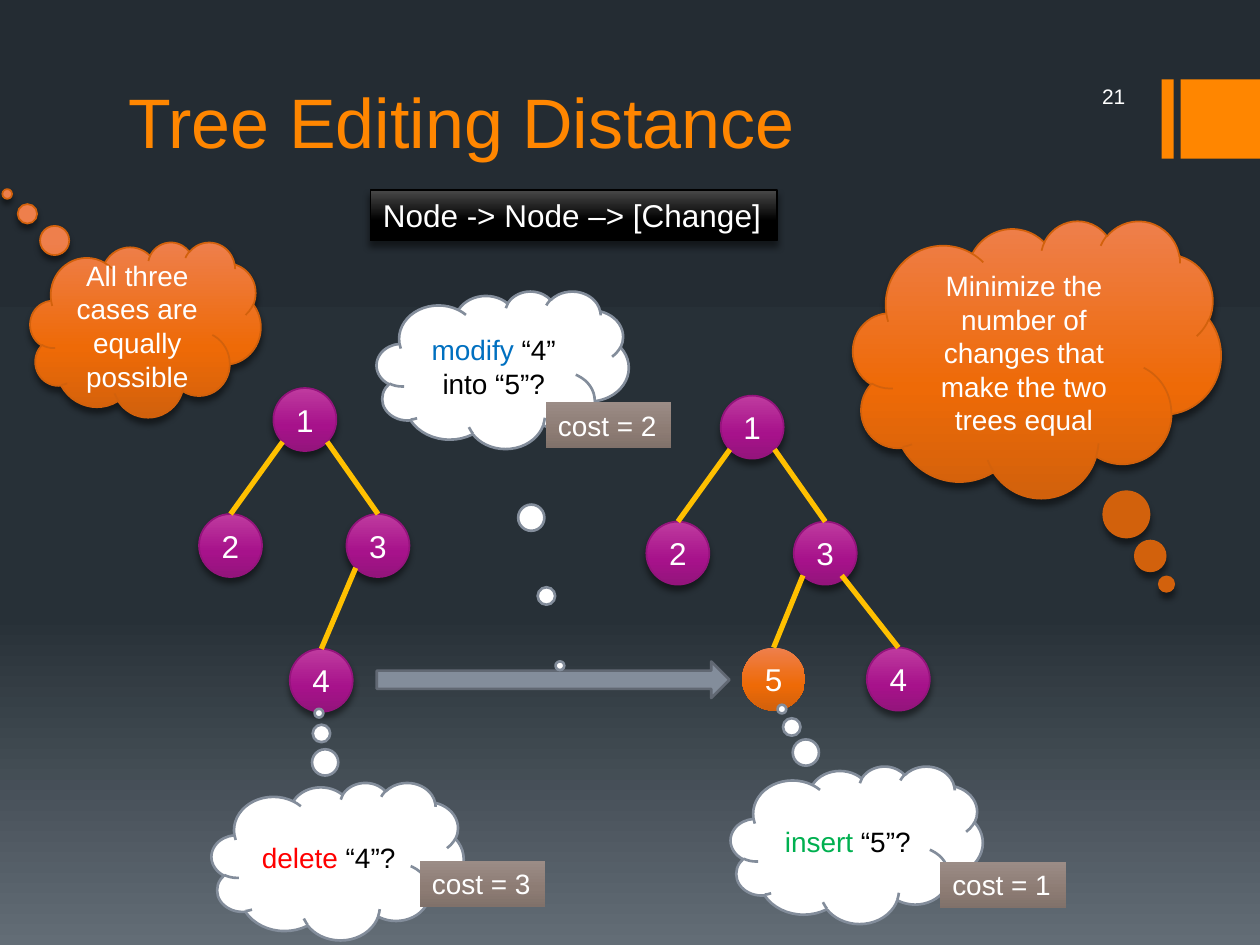
"""Builds the tree editing distance slide."""
from copy import deepcopy

from lxml import etree
from pptx import Presentation
from pptx import util as u
from pptx.dml.color import RGBColor
from pptx.enum import shapes, text
from pptx.oxml.ns import qn

WHITE = RGBColor(0xFF, 0xFF, 0xFF)
BLACK = RGBColor(0, 0, 0)
ORANGE = RGBColor(0xFF, 0x86, 0x00)
GOLD = RGBColor(0xFF, 0xC0, 0x00)
GREY = RGBColor(0x83, 0x8D, 0x9B)
STONE = RGBColor(0x61, 0x68, 0x73)
RED = RGBColor(0xFF, 0, 0)
GREEN = RGBColor(0, 0xB0, 0x50)
BLUE = RGBColor(0, 0x70, 0xC0)
NIGHT = (RGBColor(0x24, 0x2C, 0x33), RGBColor(0x27, 0x30, 0x37), RGBColor(0x63, 0x6D, 0x76))
PLUM = (RGBColor(0xBF, 0x3B, 0x9F), RGBColor(0xA7, 0x12, 0x8B), RGBColor(0x94, 0x14, 0x7C))
FLAME = (RGBColor(0xEE, 0x7F, 0x4C), RGBColor(0xEE, 0x6A, 0x07), RGBColor(0xD2, 0x61, 0x0C))
COAL = (RGBColor(0x48, 0x48, 0x48), BLACK, BLACK)
TAUPE = (RGBColor(0x9B, 0x8C, 0x86), RGBColor(0x8D, 0x7C, 0x74), RGBColor(0x80, 0x71, 0x6A))

KIND = shapes.MSO_SHAPE
ALIGN = text.PP_ALIGN
ANCHOR = text.MSO_ANCHOR
COLS, ROWS = 100, 75
NODE = 5
REACH = 1.77


class Deck:
    """Holds the style and the slide, measured on a grid of 100 columns and 75 rows."""

    def __init__(self, font):
        self.font = font
        self.prs = Presentation()
        self.prs.slide_width, self.prs.slide_height = u.Inches(10), u.Inches(7.5)
        self.slide = self.prs.slides.add_slide(self.prs.slide_layouts[5])
        self.blend(self.slide.background.fill, self.slide.element, NIGHT, 0.65)

    def grid(self, x, y):
        """Turns columns and rows into lengths."""
        return round(x * self.prs.slide_width / COLS), round(y * self.prs.slide_height / ROWS)

    def blend(self, fill, root, tones, mid=0.6):
        """Fills from top to bottom through three tones."""
        fill.gradient()
        fill.gradient_angle = 270
        stops = root.find(".//" + qn("a:gsLst"))
        stops.append(deepcopy(stops[-1]))
        for stop, tone, place in zip(fill.gradient_stops, tones, (0, mid, 1)):
            stop.color.rgb = tone
            stop.position = place

    def shade(self, shape):
        """Drops a soft shadow below a shape."""
        effect = shape.element.spPr.find(qn("a:effectLst"))
        drop = etree.SubElement(effect, qn("a:outerShdw"), blurRad=str(u.Pt(3.8)),
                                dist=str(u.Pt(3)), dir="5400000", rotWithShape="0")
        tone = etree.SubElement(drop, qn("a:srgbClr"), val=str(BLACK))
        etree.SubElement(tone, qn("a:alpha"), val="48000")

    def words(self, shape, parts, size, align=ALIGN.CENTER, anchor=ANCHOR.MIDDLE, wrap=True):
        """Sets one paragraph from pairs of words and colour."""
        frame = shape.text_frame
        frame.word_wrap = wrap
        frame.vertical_anchor = anchor
        para = frame.paragraphs[0]
        para.alignment = align
        para.text = parts[0][0]
        for part, _ in parts[1:]:
            para.add_run().text = part
        for run, (_, tone) in zip(para.runs, parts):
            run.font.name, run.font.size = self.font, u.Pt(size)
            run.font.color.rgb = tone

    def shape(self, kind, x, y, w, h, fill, line=None, width=1, shadow=False):
        """Adds a preset shape with a plain or blended fill."""
        item = self.slide.shapes.add_shape(kind, *self.grid(x, y), *self.grid(w, h))
        item.shadow.inherit = False
        if isinstance(fill, RGBColor):
            item.fill.solid()
            item.fill.fore_color.rgb = fill
        else:
            self.blend(item.fill, item.element, fill)
        if line is None:
            item.line.fill.background()
        else:
            item.line.color.rgb = line
            item.line.width = u.Pt(width)
        if shadow:
            self.shade(item)
        return item

    def title(self, name, x, y, w, h):
        """Places the title."""
        item = self.slide.shapes.title
        item.left, item.top = self.grid(x, y)
        item.width, item.height = self.grid(w, h)
        item.text_frame.auto_size = text.MSO_AUTO_SIZE.NONE
        self.words(item, [(name, ORANGE)], 40, ALIGN.LEFT, ANCHOR.BOTTOM)

    def page(self, number, x, y, w, h):
        """Adds the page number."""
        item = self.slide.shapes.add_textbox(*self.grid(x, y), *self.grid(w, h))
        self.words(item, [(number, WHITE)], 12, ALIGN.RIGHT)

    def node(self, label, x, y, fresh=False):
        """Adds a tree node, orange when it is freshly inserted."""
        look = (FLAME,) if fresh else (PLUM, PLUM[-1], 1, True)
        item = self.shape(KIND.OVAL, x, y, NODE, NODE, *look)
        self.words(item, [(label, WHITE)], 18)
        return item

    def edge(self, top, low, reach):
        """Joins the lower rim of one node to the top of another."""
        x, y = self.grid(reach, REACH)
        line = self.slide.shapes.add_connector(
            shapes.MSO_CONNECTOR.STRAIGHT, top.left + top.width // 2 + x,
            top.top + top.height // 2 + y, low.left + low.width // 2, low.top)
        line.end_connect(low, 0)
        line.line.color.rgb = GOLD
        line.line.width = u.Pt(3)
        etree.SubElement(line.element.spPr, qn("a:effectLst"))

    def tree(self, nodes, edges):
        """Adds nodes by label, then the edges between them."""
        items = {label: self.node(label, *place) for label, *place in nodes}
        for top, low, reach in edges:
            self.edge(items[top], items[low], reach)

    def cloud(self, parts, x, y, w, h, tail, hot=False):
        """Adds a thought cloud with its tail."""
        look = (FLAME, FLAME[-1], 1, True) if hot else (WHITE, GREY, 1.5)
        item = self.shape(KIND.CLOUD_CALLOUT, x, y, w, h, *look)
        item.adjustments[0], item.adjustments[1] = tail
        self.words(item, parts, 16)

    def label(self, name, x, y, w, h, size, *look):
        """Adds a box that fits one line of words."""
        item = self.shape(KIND.RECTANGLE, x, y, w, h, *look)
        self.words(item, [(name, WHITE)], size, ALIGN.LEFT, ANCHOR.TOP, False)
        item.text_frame.auto_size = text.MSO_AUTO_SIZE.SHAPE_TO_FIT_TEXT


def main():
    """Draws the slide and saves it."""
    deck = Deck("Arial")
    for x, w in ((92.2, 0.95), (93.7, 6.3)):
        deck.shape(KIND.RECTANGLE, x, 6.3, w, 6.3, ORANGE)
    deck.title("Tree Editing Distance", 9.2, 0.8, 80, 12.6)

    deck.tree([("1", 21.7, 30.8), ("2", 15.8, 40.8), ("3", 27.5, 40.8), ("4", 23, 51.5)],
              [("1", "2", -REACH), ("1", "3", REACH), ("3", "4", -REACH)])
    deck.tree([("1", 57.2, 31.4), ("2", 51.3, 41.4), ("3", 63, 41.4),
               ("4", 68.8, 51.4), ("5", 58.9, 51.4, True)],
              [("1", "2", -REACH), ("1", "3", REACH), ("3", "4", 1.3), ("3", "5", -REACH)])

    asks = (("delete", RED, " “4”?", 16.8, 62.1, (-0.074, -0.94)),
            ("insert", GREEN, " “5”?", 58, 60.8, (-0.297, -0.862)),
            ("modify", BLUE, " “4” into “5”?", 29.9, 23.1, (0.227, 1.879)))
    deck.shape(KIND.RIGHT_ARROW, 29.9, 52.5, 28, 2.9, GREY, STONE, 1.5)
    for verb, tone, rest, x, y, tail in asks:
        deck.cloud([(verb, tone), (rest, BLACK)], x, y, 20, 12.5, tail)
    deck.cloud([("Minimize the number of changes that make the two trees equal", WHITE)],
               67.7, 17.5, 29.2, 22, (0.352, 0.812), True)
    deck.cloud([("All three cases are equally possible", WHITE)],
               2.4, 19.2, 18.3, 13.9, (-0.6, -0.774), True)

    deck.label("Node -> Node –> [Change]", 29.4, 15.1, 32.3, 4, 18, COAL, BLACK, 1, True)
    deck.page("21", 80, 6, 10.3, 3.3)
    for cost, x, y in ((3, 33.3, 68.3), (2, 43.3, 31.9), (1, 74.6, 68.4)):
        deck.label(f"cost = {cost}", x, y, 10, 3.7, 16, TAUPE)
    deck.prs.save("out.pptx")


if __name__ == "__main__":
    main()
